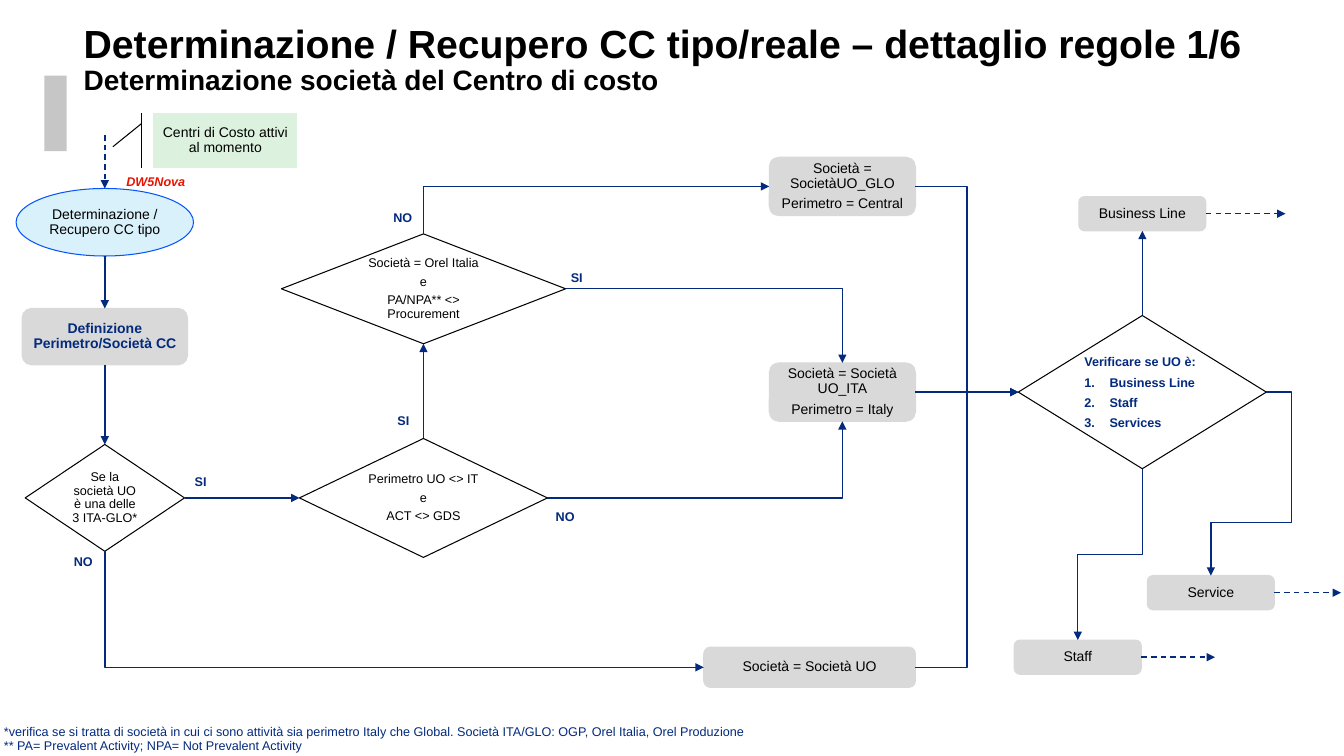
import pptx
import pptx.dml.color
import pptx.enum.dml
import pptx.enum.shapes
import pptx.enum.text
import pptx.oxml
import pptx.oxml.ns
import pptx.util

RGB = pptx.dml.color.RGBColor
NAVY = RGB(0x03, 0x2A, 0x7D)
BLACK = RGB(0, 0, 0)
WHITE = RGB(0xFF, 0xFF, 0xFF)
RED = RGB(0xE7, 0x14, 0x01)
GRAY = RGB(0xD9, 0xD9, 0xD9)
BAR = RGB(0xC6, 0xC6, 0xC6)
SKY = RGB(0xD9, 0xF1, 0xFA)
BLUE = RGB(0x06, 0x55, 0xFA)
MINT = RGB(0xDD, 0xF2, 0xDE)

KIND = pptx.enum.shapes.MSO_SHAPE
LINK = pptx.enum.shapes.MSO_CONNECTOR
ALIGN = pptx.enum.text.PP_ALIGN
ANCHOR = pptx.enum.text.MSO_ANCHOR
FIT = pptx.enum.text.MSO_AUTO_SIZE
Pt = pptx.util.Pt
qn = pptx.oxml.ns.qn
TOP, LEFT, BOTTOM, RIGHT = range(4)


def px(n):
    return pptx.util.Emu(n * 9144)  # 100 px to the inch


def add(parent, tag, **attrs):
    node = parent.makeelement(qn(tag), attrs)
    parent.append(node)
    return node


class Chart:
    font = "Arial"
    inset = 4

    def __init__(self, slide):
        self.slide = slide
        self.shapes = slide.shapes

    def put(self, frame, lines, size, color, bold=False, align=ALIGN.CENTER,
            space=0.9, after=0.4):
        frame.text = "\n".join(lines)
        for para in frame.paragraphs:
            para.alignment = align
            para.line_spacing = space
            para.space_after = Pt(size * after)
            font = para.font
            font.name, font.size, font.bold = self.font, Pt(size), bold
            font.color.rgb = color

    def pad(self, frame, inset):
        frame.margin_left = frame.margin_right = px(inset)
        frame.margin_top = frame.margin_bottom = px(inset)

    def title(self, box, head, sub):
        shape = self.shapes.title
        shape.left, shape.top, shape.width, shape.height = map(px, box)
        frame = shape.text_frame
        self.put(frame, [head, sub], 28, BLACK, True, ALIGN.LEFT, after=0)
        frame.paragraphs[1].font.size = Pt(20)
        for para in frame.paragraphs:
            para.space_before = Pt(0)
        self.pad(frame, 0)
        frame.vertical_anchor = ANCHOR.TOP
        frame.auto_size = FIT.NONE
        frame.word_wrap = True

    def shape(self, kind, box, lines=(), fill=None, line=None, size=10,
              color=BLACK, **style):
        shape = self.shapes.add_shape(kind, *map(px, box))
        shape.shadow.inherit = False
        if fill is None:
            shape.fill.background()
        else:
            shape.fill.solid()
            shape.fill.fore_color.rgb = fill
        if line is None:
            shape.line.fill.background()
        else:
            shape.line.color.rgb = line
            shape.line.width = Pt(0.75)
        if lines:
            frame = shape.text_frame
            self.pad(frame, self.inset)
            frame.word_wrap = True
            frame.vertical_anchor = ANCHOR.MIDDLE
            self.put(frame, lines, size, color, **style)
        return shape

    def box(self, box, *lines, **style):
        return self.shape(KIND.ROUNDED_RECTANGLE, box, lines, GRAY, GRAY, **style)

    def test(self, box, *lines, **style):
        return self.shape(KIND.FLOWCHART_DECISION, box, lines, line=BLACK,
                          size=9, **style)

    def text(self, box, lines, color=NAVY, bold=True, wrap=False, **style):
        frame = self.shapes.add_textbox(*map(px, box)).text_frame
        frame.word_wrap = wrap
        frame.auto_size = FIT.SHAPE_TO_FIT_TEXT
        self.put(frame, lines, 9, color, bold, **style)
        return frame

    def number(self, paras):
        for para in paras:
            props = para._p.get_or_add_pPr()
            props.set("marL", str(px(25)))
            props.set("indent", str(px(-25)))
            bullet = props.makeelement(qn("a:buAutoNum"), {"type": "arabicPeriod"})
            props.find(qn("a:defRPr")).addprevious(bullet)

    def link(self, start, end, bend=None, down=False, turns=(), dash=False):
        """Join two ends, each (shape, side) or (x, y); down leaves vertically."""
        kind = LINK.ELBOW if bend else LINK.STRAIGHT
        first, last = [e if isinstance(e[0], int) else (0, 0) for e in (start, end)]
        line = self.shapes.add_connector(kind, *map(px, first + last))
        if not isinstance(start[0], int):
            line.begin_connect(*start)
        if not isinstance(end[0], int):
            line.end_connect(*end)
        props = line._element.spPr
        if bend:
            geom = props.find(qn("a:prstGeom"))
            geom.set("prst", f"bentConnector{bend}")
            for i, turn in enumerate(turns, 1):
                add(geom.find(qn("a:avLst")), "a:gd", name=f"adj{i}",
                    fmla=f"val {turn * 1000}")
        if down:
            self.rotate(line, props.find(qn("a:xfrm")))
        line.line.color.rgb = NAVY
        line.line.width = Pt(1)
        if dash:
            line.line.dash_style = pptx.enum.dml.MSO_LINE.DASH
        add(props.find(qn("a:ln")), "a:tailEnd", type="triangle")
        add(props, "a:effectLst")

    def rotate(self, line, frame):
        dx, dy = line.end_x - line.begin_x, line.end_y - line.begin_y
        mid_x, mid_y = line.begin_x + dx // 2, line.begin_y + dy // 2
        line.width, line.height = abs(dy), abs(dx)
        line.left, line.top = mid_x - abs(dy) // 2, mid_y - abs(dx) // 2
        frame.set("rot", "5400000")
        frame.set("flipH", str(int(dy < 0)))
        frame.set("flipV", str(int(dx > 0)))


def main():
    deck = pptx.Presentation()
    deck.slide_width, deck.slide_height = px(1333), px(750)
    flow = Chart(deck.slides.add_slide(deck.slide_layouts[5]))

    # Heading
    flow.shape(KIND.RECTANGLE, (44, 75, 22, 75), fill=BAR)
    flow.title((83, 24, 1196, 43),
               "Determinazione / Recupero CC tipo/reale – dettaglio regole 1/6",
               "Determinazione società del Centro di costo")

    # Start and callout
    flow.shape(KIND.OVAL, (16, 187, 176, 67), ["Determinazione / Recupero CC tipo"],
               SKY, BLUE)
    note = flow.shape(KIND.LINE_CALLOUT_1_ACCENT_BAR, (152, 112, 143, 55),
                      ["Centri di Costo attivi al momento"], MINT, BLACK)
    for i, value in enumerate((0.19, -0.08, 0.61, -0.28)):
        note.adjustments[i] = value
    tool = flow.text((115, 169, 79, 24), ["DW5Nova"], RED)
    tool.paragraphs[0].font.italic = True

    # Steps
    scope = flow.box((22, 306, 164, 56), "Definizione Perimetro/Società CC",
                     color=NAVY, bold=True)
    glo = flow.box((763, 156, 145, 58), "Società = SocietàUO_GLO", "Perimetro = Central")
    ita = flow.box((763, 360, 145, 58), "Società = Società UO_ITA", "Perimetro = Italy")
    unit = flow.box((698, 642, 210, 40), "Società = Società UO")
    biz = flow.box((1070, 195, 126, 34), "Business Line")
    staff = flow.box((1006, 635, 126, 34), "Staff")
    serve = flow.box((1138, 571, 126, 34), "Service")

    # Decisions
    three = flow.test((25, 441, 158, 106), "Se la società UO è una delle 3 ITA-GLO*")
    area = flow.test((297, 435, 246, 118), "Perimetro UO <> IT", "e", "ACT <> GDS")
    firm = flow.test((279, 232, 282, 109), "Società = Orel Italia", "e",
                     "PA/NPA** <> Procurement")
    check = flow.test((1010, 313, 246, 152), "Verificare se UO è:", "Business Line",
                      "Staff", "Services", color=NAVY, bold=True,
                      align=ALIGN.LEFT, space=1.0)
    check.fill.solid()
    check.fill.fore_color.rgb = WHITE
    flow.number(check.text_frame.paragraphs[1:])

    # Straight arrows
    flow.link((104, 134), (104, 187), dash=True)
    flow.link((104, 254), (scope, TOP))
    flow.link((scope, BOTTOM), (three, TOP))
    flow.link((three, RIGHT), (area, LEFT))
    flow.link((area, TOP), (firm, BOTTOM))
    flow.link((ita, RIGHT), (check, LEFT))
    flow.link((check, TOP), (biz, BOTTOM))
    for box, x, y in ((biz, 1275, 212), (staff, 1205, 652), (serve, 1330, 588)):
        flow.link((box, RIGHT), (x, y), dash=True)

    # Bent arrows
    flow.link((three, BOTTOM), (unit, LEFT), 2, down=True)
    flow.link((firm, TOP), (glo, LEFT), 2, down=True)
    flow.link((firm, RIGHT), (ita, TOP), 2)
    flow.link((area, RIGHT), (ita, BOTTOM), 2)
    for box in (glo, unit):
        flow.link((box, RIGHT), (check, LEFT), 3, turns=[50])
    flow.link((check, BOTTOM), (staff, TOP), 3, down=True, turns=[50])
    flow.link((check, RIGHT), (serve, TOP), 4, turns=[-46, 71])

    # Branch labels
    for x, y in ((183, 465), (384, 405), (556, 263)):
        flow.text((x, y, 32, 25), ["SI"], space=1.0)
    for x, y in ((63, 545), (380, 203), (541, 500)):
        flow.text((x, y, 39, 25), ["NO"], space=1.0)

    # Footnotes
    flow.text((-6, 715, 1238, 37), [
        "*verifica se si tratta di società in cui ci sono attività sia perimetro Italy "
        "che Global. Società ITA/GLO: OGP, Orel Italia, Orel Produzione",
        "** PA= Prevalent Activity; NPA= Not Prevalent Activity",
    ], bold=False, wrap=True, align=ALIGN.LEFT, after=0)

    deck.save("out.pptx")


if __name__ == "__main__":
    main()
